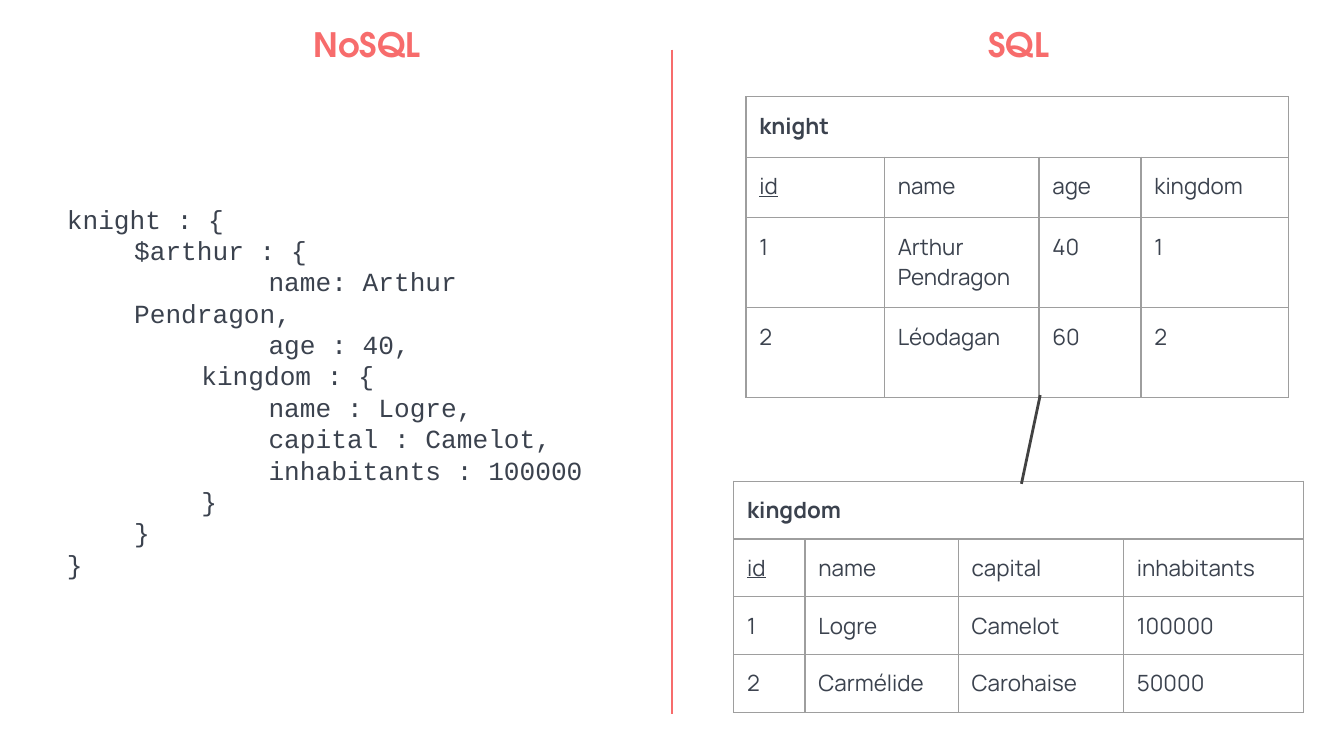
from lxml import etree
from pptx import Presentation
from pptx.dml.color import RGBColor
from pptx.enum.shapes import MSO_CONNECTOR
from pptx.enum.text import PP_ALIGN
from pptx.oxml import parse_xml
from pptx.oxml.ns import nsdecls, qn
from pptx.util import Inches, Pt

STRAIGHT = MSO_CONNECTOR.STRAIGHT
CENTER = PP_ALIGN.CENTER
INK, CORAL, GREY, DARK = "3B424E", "F76C6C", "9E9E9E", "424242"
INSET = Inches(0.1)


def color(value):
    return RGBColor.from_string(value)


def add_span(para, text, font, size, value, bold=False, underline=False):
    span = para.add_run()
    span.text = text
    span.font.name = font
    span.font.size = Pt(size)
    span.font.bold = bold
    span.font.underline = underline
    span.font.color.rgb = color(value)


# A 16:9 page
deck = Presentation()
deck.slide_width, deck.slide_height = Inches(10), Inches(10 * 9 / 16)
page = deck.slides.add_slide(deck.slide_layouts[6])

# Document on the left: left margin, first-line indent, lines of the paragraph
code = [
    (0, 0, ["knight : {"]),
    (0.5, 0, ["$arthur : {"]),
    (0.5, 0, ["\tname: Arthur Pendragon,", "\tage : 40,"]),
    (0.5, 0.5, ["kingdom : {"]),
    (1, 0.5, ["name : Logre,"]),
    (1, 0.5, ["capital : Camelot,"]),
    (1, 0.5, ["inhabitants : 100000"]),
    (1, 0, ["}"]),
    (0.5, 0, ["}"]),
    (0, 0, ["}"]),
]
box = page.shapes.add_textbox(Inches(0.4), Inches(1.41), Inches(4.24), Inches(3.31))
frame = box.text_frame
frame.word_wrap = True
frame.margin_left = frame.margin_right = frame.margin_top = frame.margin_bottom = INSET
for index, (margin, indent, lines) in enumerate(code):
    para = frame.paragraphs[0] if index == 0 else frame.add_paragraph()
    props = para._p.get_or_add_pPr()
    props.set("marL", str(Inches(margin)))
    props.set("indent", str(Inches(indent)))
    props.set("defTabSz", str(Inches(1)))
    for number, line in enumerate(lines):
        if number:
            para.add_line_break()
        add_span(para, line, "Courier New", 14, INK)

# Tables on the right: left, top, column widths, row heights, rows
tables = [
    (5.55, 0.72, [1.03, 1.15, 0.76, 1.1], [0.45, 0.45, 0.67, 0.67], [
        ["knight", "", "", ""],
        ["id", "name", "age", "kingdom"],
        ["1", "Arthur Pendragon", "40", "1"],
        ["2", "Léodagan", "60", "2"],
    ]),
    (5.46, 3.58, [0.53, 1.14, 1.23, 1.34], [0.43] * 4, [
        ["kingdom", "", "", ""],
        ["id", "name", "capital", "inhabitants"],
        ["1", "Logre", "Camelot", "100000"],
        ["2", "Carmélide", "Carohaise", "50000"],
    ]),
]
for left, top, widths, heights, rows in tables:
    table = page.shapes.add_table(
        len(rows), len(widths), Inches(left), Inches(top),
        Inches(sum(widths)), Inches(sum(heights))).table
    table.first_row = table.horz_banding = False
    for column, width in zip(table.columns, widths):
        column.width = Inches(width)
    for row, height in zip(table.rows, heights):
        row.height = Inches(height)
    table.cell(0, 0).merge(table.cell(0, len(widths) - 1))
    for r, texts in enumerate(rows):
        for c, text in enumerate(texts):
            cell = table.cell(r, c)
            cell.margin_left = cell.margin_right = INSET
            cell.margin_top = cell.margin_bottom = INSET
            cell.fill.background()
            for order, side in enumerate(("lnL", "lnR", "lnT", "lnB")):
                border = parse_xml(
                    f'<a:{side} {nsdecls("a")} w="{Pt(0.75)}"><a:solidFill>'
                    f'<a:srgbClr val="{GREY}"/></a:solidFill></a:{side}>')
                cell._tc.get_or_add_tcPr().insert(order, border)
            para = cell.text_frame.paragraphs[0]
            if text:
                add_span(para, text, "Manrope", 12, INK, r == 0, text == "id")
            else:
                para.font.size = Pt(12)

# Headings
for left, heading in ((2, "NoSQL"), (6.85, "SQL")):
    box = page.shapes.add_textbox(Inches(left), Inches(0.08), Inches(1.46), Inches(0.43))
    frame = box.text_frame
    frame.word_wrap = True
    frame.margin_left = frame.margin_right = frame.margin_top = frame.margin_bottom = INSET
    para = frame.paragraphs[0]
    para.alignment = CENTER
    add_span(para, heading, "TeX Gyre Adventor", 18, CORAL, bold=True)

# Link between the tables, and the divider
for x1, y1, x2, y2, value in ((7.74, 2.94, 7.6, 3.6, DARK), (5, 0.37, 5, 5.31, CORAL)):
    line = page.shapes.add_connector(STRAIGHT, Inches(x1), Inches(y1), Inches(x2), Inches(y2))
    line.line.color.rgb = color(value)
    line.line.width = Pt(1.5)
    etree.SubElement(line._element.spPr, qn("a:effectLst"))

deck.save("out.pptx")
